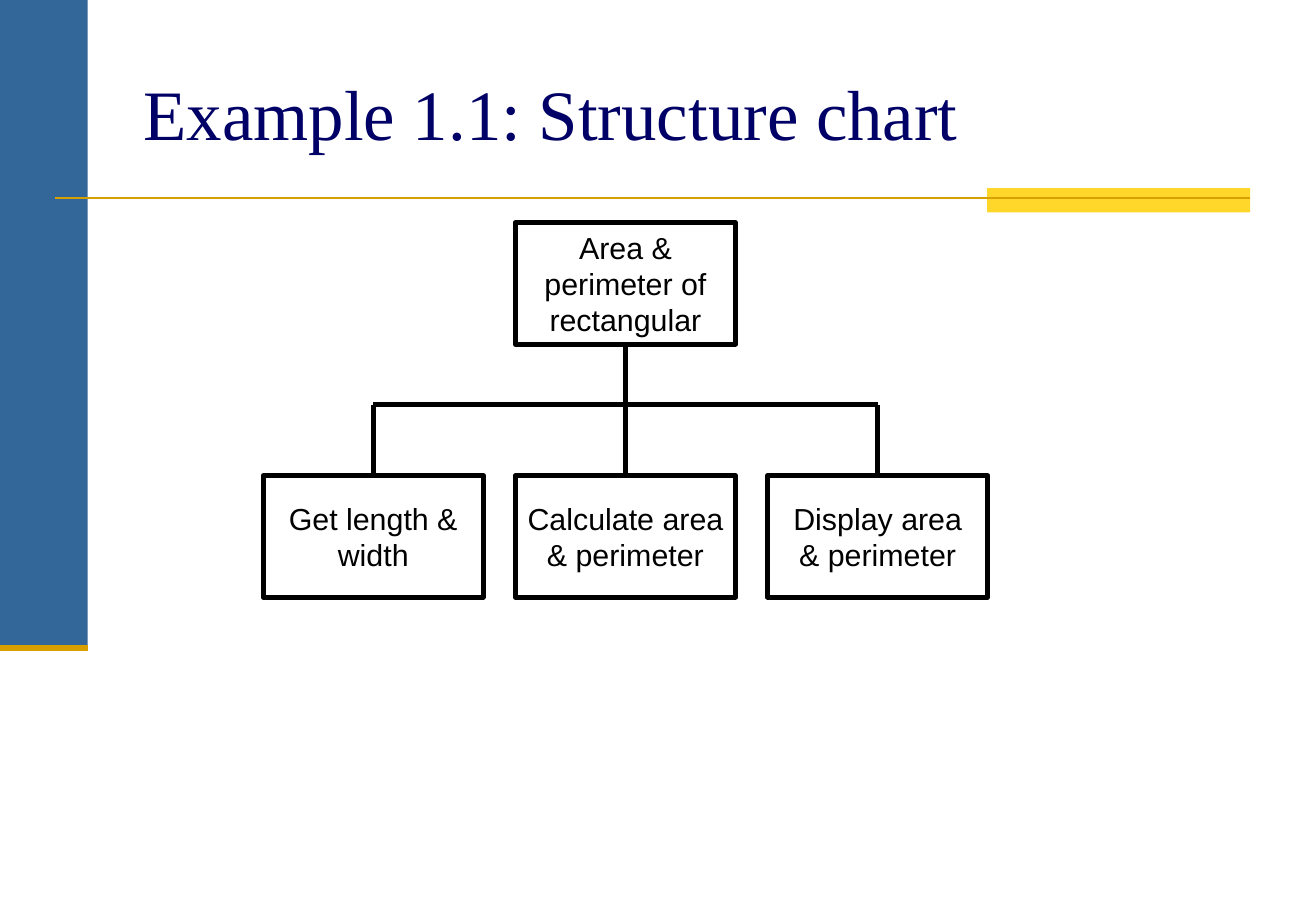
from pptx import Presentation
from pptx.dml.color import RGBColor
from pptx.enum.shapes import MSO_CONNECTOR as CONN, MSO_SHAPE as SHAPE
from pptx.enum.text import MSO_ANCHOR as ANCHOR, MSO_AUTO_SIZE as AUTO, PP_ALIGN as ALIGN
from pptx.oxml.ns import qn
from pptx.util import Pt
from lxml import etree


def color(hex_code):
    return RGBColor.from_string(hex_code)


def add_line(x1, y1, x2, y2, hex_code, width):
    ln = s.shapes.add_connector(CONN.STRAIGHT, Pt(x1), Pt(y1), Pt(x2), Pt(y2))
    ln.line.color.rgb = color(hex_code)
    ln.line.width = Pt(width)
    etree.SubElement(ln._element.spPr, qn("a:effectLst"))


prs = Presentation()
prs.slide_width, prs.slide_height = Pt(780), Pt(540)
s = prs.slides.add_slide(prs.slide_layouts[5])

# Side band and title accent
for x, y, w, h, fill in [(0, 0, 52, 384, "336699"), (585, 111.6, 156, 14.4, "FFD72B")]:
    sp = s.shapes.add_shape(SHAPE.RECTANGLE, Pt(x), Pt(y), Pt(w), Pt(h))
    sp.shadow.inherit = False
    sp.fill.solid()
    sp.fill.fore_color.rgb = color(fill)
    sp.line.fill.background()
add_line(32.5, 117.5, 741, 117.5, "D89F00", 1.5)
add_line(0, 384, 52, 384, "D89F00", 3.5)

# Title
title = s.shapes.title
title.left, title.top, title.width, title.height = Pt(78), Pt(21.6), Pt(663), Pt(90)
tf = title.text_frame
tf.auto_size = AUTO.NONE
tf.vertical_anchor = ANCHOR.MIDDLE
p = tf.paragraphs[0]
p.alignment = ALIGN.LEFT
r = p.add_run()
r.text = "Example 1.1: Structure chart"
r.font.size = Pt(42)
r.font.name = "Times New Roman"
r.font.color.rgb = color("000066")

# Structure chart boxes: one parent above three children
BOX_W, BOX_H, PITCH = 130.5, 72, 149.5
LEFT, PARENT_Y, BAR_Y, CHILD_Y = 156, 132, 240, 282
boxes = [
    (1, PARENT_Y, "Area & perimeter of rectangular"),
    (0, CHILD_Y, "Get length & width"),
    (1, CHILD_Y, "Calculate area & perimeter"),
    (2, CHILD_Y, "Display area & perimeter"),
]
for col, y, text in boxes:
    sp = s.shapes.add_shape(SHAPE.RECTANGLE, Pt(LEFT + col * PITCH), Pt(y), Pt(BOX_W), Pt(BOX_H))
    sp.shadow.inherit = False
    sp.fill.background()
    sp.line.color.rgb = color("000000")
    sp.line.width = Pt(3)
    tf = sp.text_frame
    tf.word_wrap = True
    tf.vertical_anchor = ANCHOR.MIDDLE
    p = tf.paragraphs[0]
    p.alignment = ALIGN.CENTER
    r = p.add_run()
    r.text = text
    r.font.size = Pt(18)
    r.font.name = "Arial"
    r.font.color.rgb = color("000000")

# Branches: the middle one reaches up to the parent
centers = [LEFT + BOX_W / 2 + col * PITCH for col in range(3)]
for x, top in zip(centers, [BAR_Y, PARENT_Y + BOX_H, BAR_Y]):
    add_line(x, CHILD_Y, x, top, "000000", 3)
add_line(centers[0], BAR_Y, centers[2], BAR_Y, "000000", 3)

prs.save("out.pptx")
